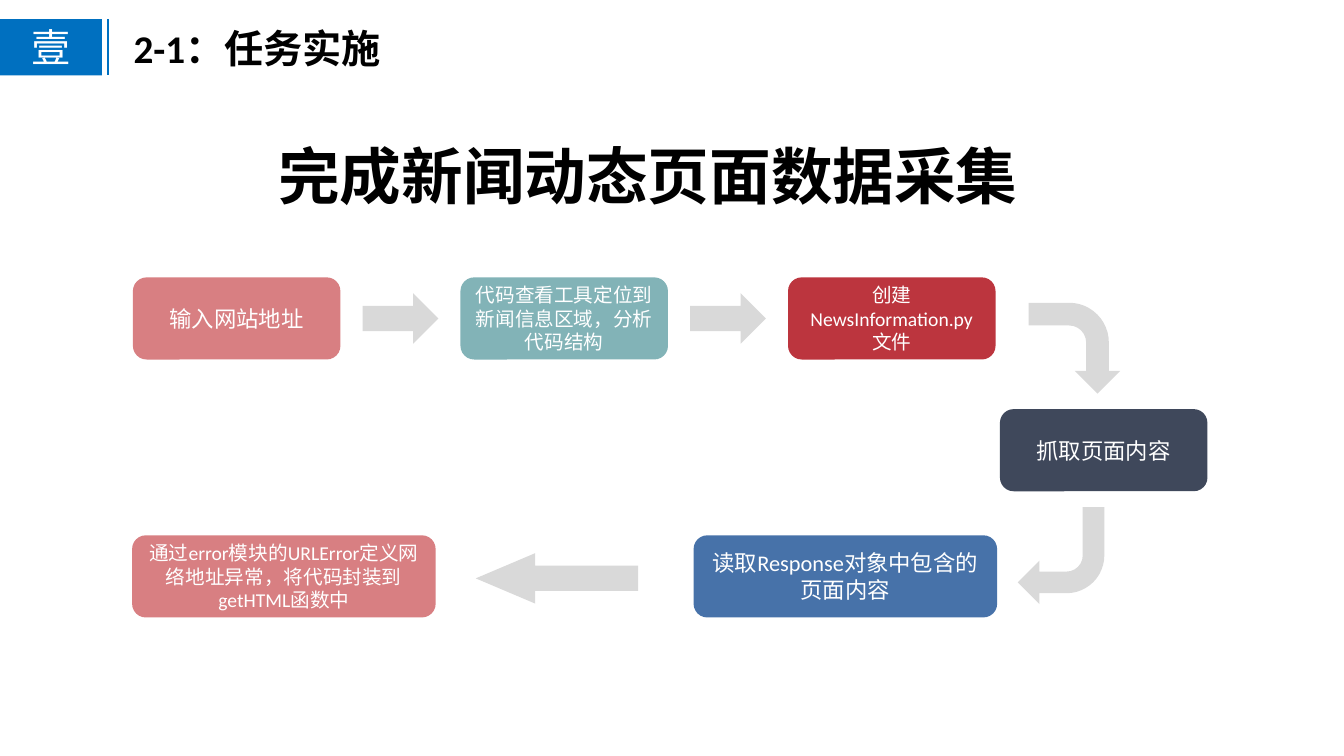
import pptx
import pptx.util
import pptx.dml.color
import pptx.enum.shapes
import pptx.enum.text
import pptx.oxml
import pptx.oxml.ns
from dataclasses import dataclass

Cm = pptx.util.Cm
SHAPE = pptx.enum.shapes.MSO_SHAPE
ALIGN = pptx.enum.text.PP_ALIGN
ANCHOR = pptx.enum.text.MSO_ANCHOR

# Content
HEADING = "2-1：任务实施"
BADGE = "壹"
TITLE = "完成新闻动态页面数据采集"
TOP_STEPS = [  # text, colour, size
    ("输入网站地址", "D87F82", 16),
    ("代码查看工具定位到新闻信息区域，分析代码结构", "82B3B7", 14),
    ("创建NewsInformation.py文件", "BC353E", 14),
]
TURN_STEP = ("抓取页面内容", "3F485B", 16)
BOTTOM_STEPS = [  # left to right
    ("通过error模块的URLError定义网络地址异常，将代码封装到getHTML函数中", "D87F82", 14),
    ("读取Response对象中包含的页面内容", "4772A9", 16),
]


@dataclass(frozen=True)
class Theme:
    blue: str = "0070C0"
    arrow: str = "D9D9D9"
    white: str = "FFFFFF"
    black: str = "000000"
    latin: str = "Calibri"
    cjk: str = "Noto Sans CJK SC"
    title: int = 44
    heading: int = 28


theme = Theme()

# Layout in centimetres
BOX_W, BOX_H, WIDE_W = 5.23, 2.07, 7.65
TOP_X, TOP_Y, TOP_STEP = 3.35, 6.99, 8.255
BOTTOM_X, BOTTOM_Y, BOTTOM_STEP = 3.33, 13.49, 14.15
ARROW_W, ARROW_H = 1.91, 1.27

prs = pptx.Presentation()
prs.slide_width, prs.slide_height = Cm(33.87), Cm(19.05)
s = prs.slides.add_slide(prs.slide_layouts[5])


def rgb(value):
    return pptx.dml.color.RGBColor.from_string(value)


def write(sp, text, size, color, font=theme.latin, bold=False, align=ALIGN.LEFT):
    tf = sp.text_frame
    tf.word_wrap = True
    tf.text = text
    p = tf.paragraphs[0]
    p.alignment = align
    p.font.size = pptx.util.Pt(size)
    p.font.bold = bold
    p.font.color.rgb = rgb(color)
    p.font.name = font
    latin = p._p.pPr.find(".//" + pptx.oxml.ns.qn("a:latin"))
    ea = pptx.oxml.parse_xml(
        f'<a:ea {pptx.oxml.ns.nsdecls("a")} typeface="{theme.cjk}"/>')
    latin.addnext(ea)
    return tf


def add_shape(kind, x, y, w, h, color, rotation=0):
    sp = s.shapes.add_shape(kind, Cm(x), Cm(y), Cm(w), Cm(h))
    sp.shadow.inherit = False
    sp.fill.solid()
    sp.fill.fore_color.rgb = rgb(color)
    sp.line.fill.background()
    sp.rotation = rotation
    return sp


def add_step(step, x, y, w=BOX_W):
    text, color, size = step
    sp = add_shape(SHAPE.ROUNDED_RECTANGLE, x, y, w, BOX_H, color)
    tf = write(sp, text, size, theme.white, align=ALIGN.CENTER)
    tf.vertical_anchor = ANCHOR.MIDDLE


# Header: section heading, badge and divider
sp = s.shapes.add_textbox(Cm(3.12), Cm(0.48), Cm(26.14), Cm(1.45))
write(sp, HEADING, theme.heading, theme.black, bold=True)

sp = add_shape(SHAPE.RECTANGLE, 0, 0.48, 2.57, 1.42, theme.blue)
tf = write(sp, BADGE, theme.heading, theme.white, theme.cjk, align=ALIGN.CENTER)
tf.vertical_anchor = ANCHOR.MIDDLE
tf.margin_left = tf.margin_right = tf.margin_top = tf.margin_bottom = Cm(0.08)

divider = s.shapes.add_connector(
    pptx.enum.shapes.MSO_CONNECTOR.STRAIGHT, Cm(2.72), Cm(0.48), Cm(2.72), Cm(1.9))
divider.line.color.rgb = rgb(theme.blue)
divider.line.width = pptx.util.Pt(1)
divider._element.spPr.append(
    pptx.oxml.parse_xml(f'<a:effectLst {pptx.oxml.ns.nsdecls("a")}/>'))

# Title
sp = s.shapes.title
sp.left, sp.top, sp.width, sp.height = Cm(6.76), Cm(3.05), Cm(20.35), Cm(2.95)
tf = write(sp, TITLE, theme.title, theme.black, theme.cjk, bold=True)
tf.auto_size = pptx.enum.text.MSO_AUTO_SIZE.NONE
tf.vertical_anchor = ANCHOR.MIDDLE
tf.paragraphs[0].line_spacing = 0.9

# Top row, with an arrow centred in each gap
for i, step in enumerate(TOP_STEPS):
    x = TOP_X + i * TOP_STEP
    add_step(step, x, TOP_Y)
    if i < len(TOP_STEPS) - 1:
        add_shape(SHAPE.RIGHT_ARROW, x + (BOX_W + TOP_STEP - ARROW_W) / 2,
                  TOP_Y + (BOX_H - ARROW_H) / 2, ARROW_W, ARROW_H, theme.arrow)

# Turn on the right
add_shape(SHAPE.BENT_ARROW, 25.93, 7.62, 2.29, 2.31, theme.arrow, 90)
add_step(TURN_STEP, 25.2, 10.31)
add_shape(SHAPE.BENT_ARROW, 25.65, 12.78, 2.18, 2.44, theme.arrow, 180)

# Bottom row, read from right to left
for i, step in enumerate(BOTTOM_STEPS):
    add_step(step, BOTTOM_X + i * BOTTOM_STEP, BOTTOM_Y, WIDE_W)
back = add_shape(SHAPE.LEFT_ARROW, 11.99, 13.94, 4.09, ARROW_H, theme.arrow)
back.adjustments[1] = 1.18

prs.save("out.pptx")
